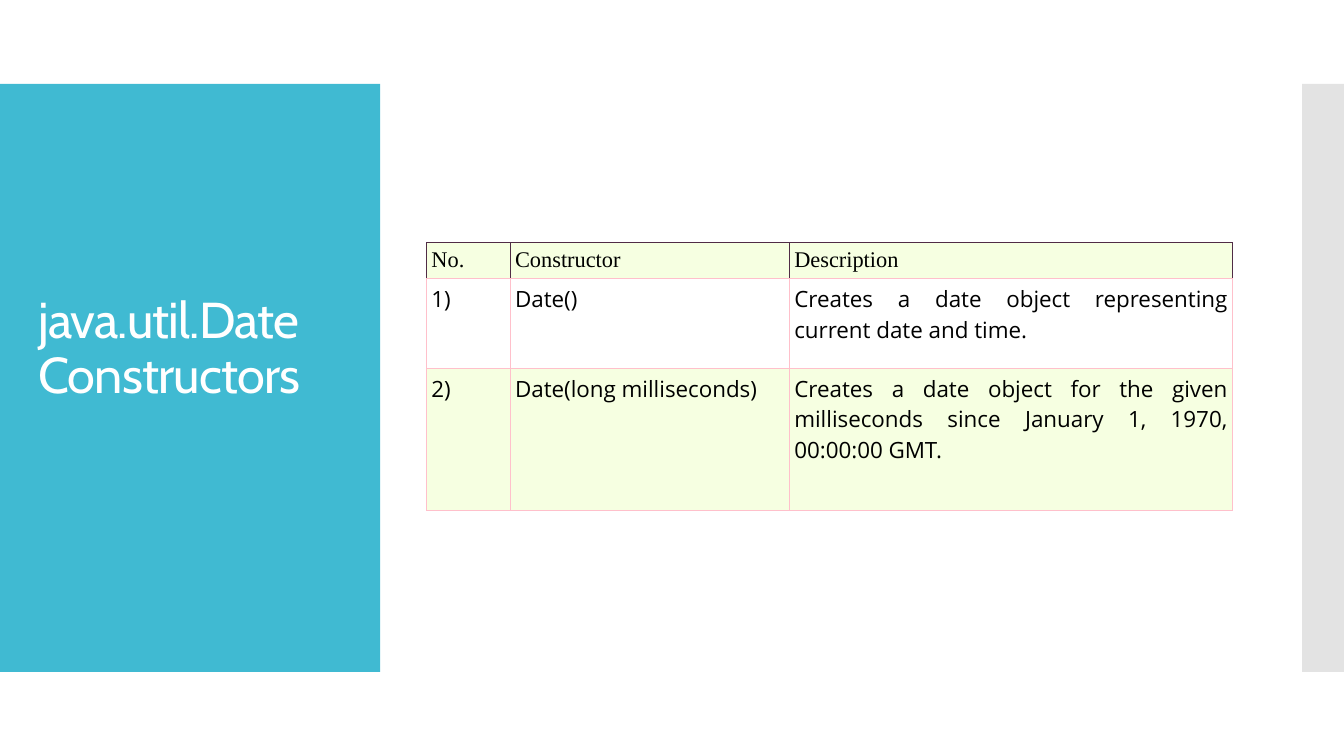
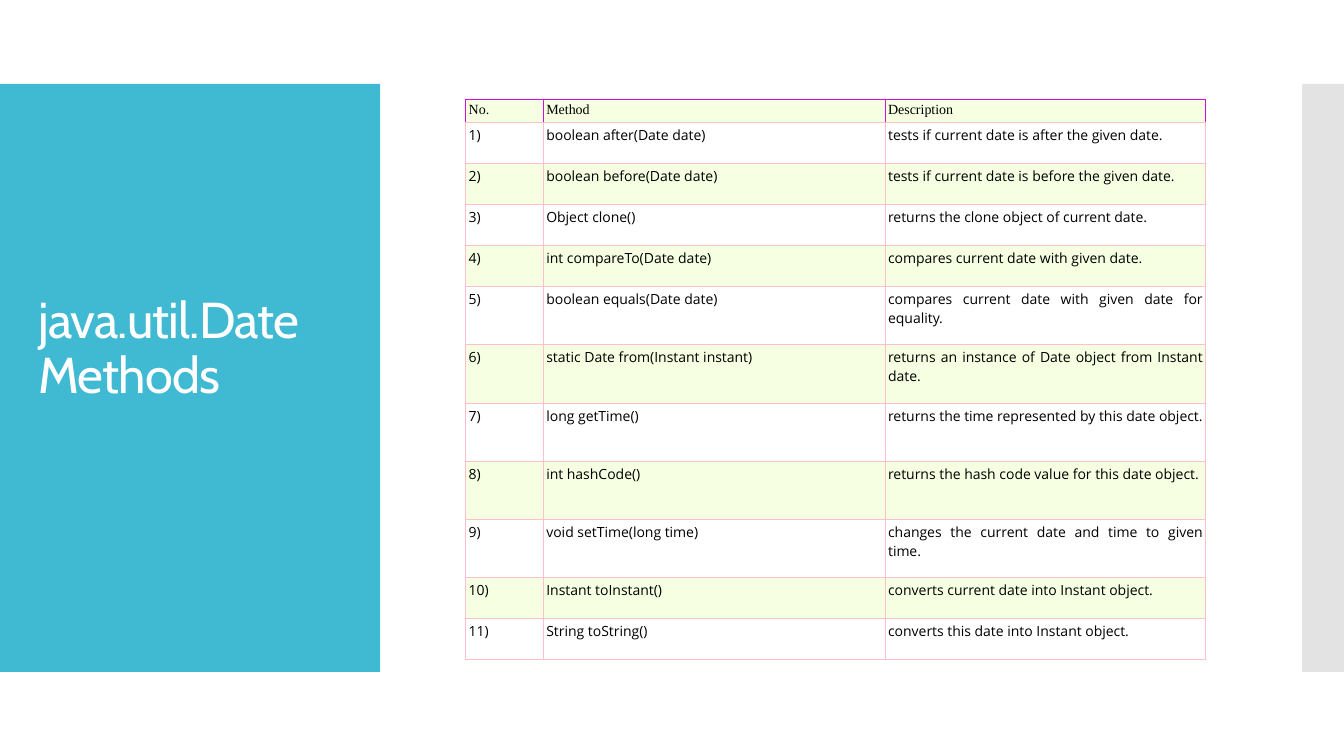
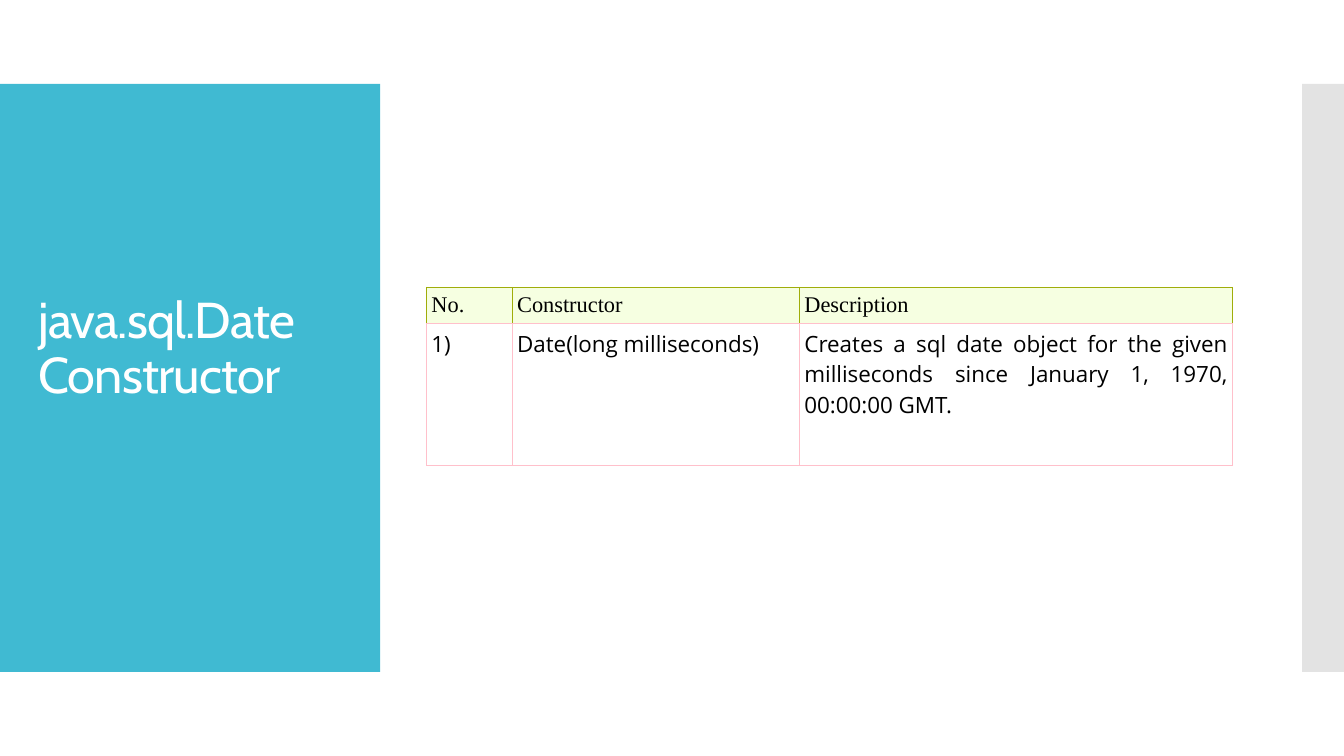
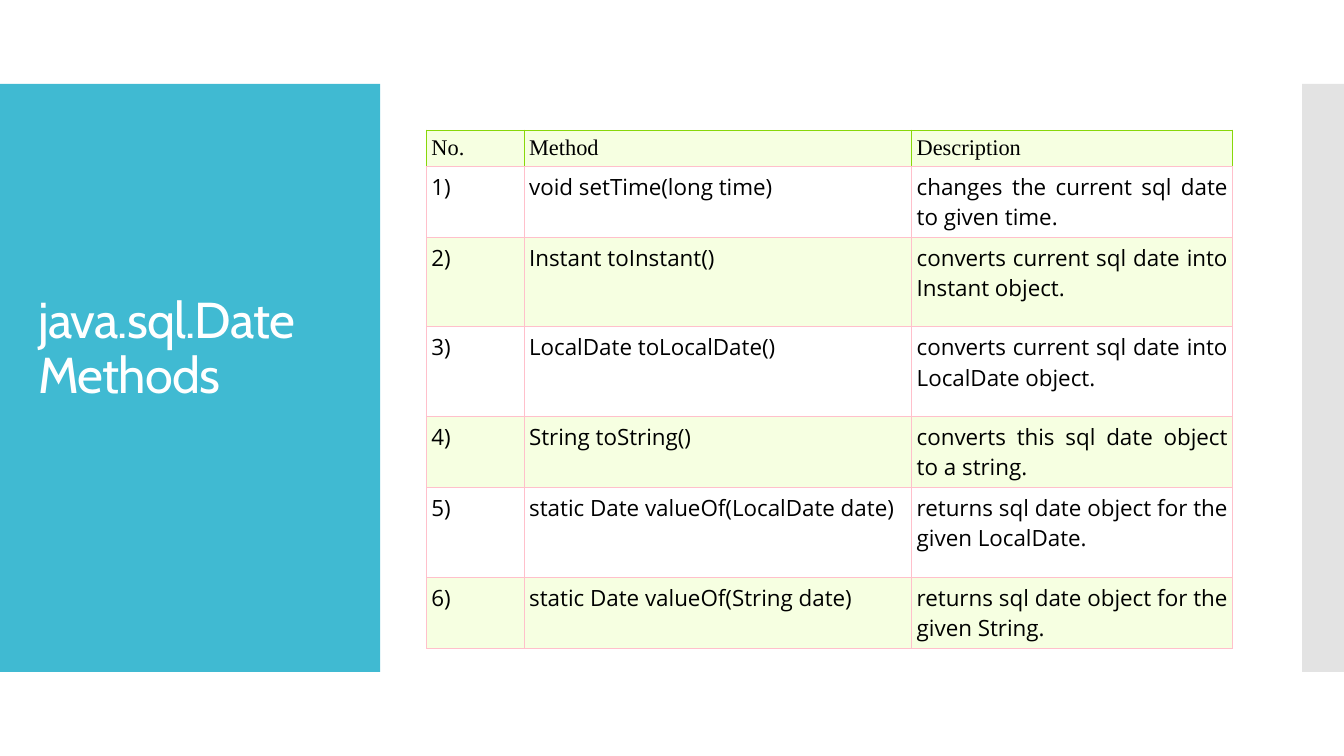
from dataclasses import dataclass

from lxml import etree
from pptx import Presentation
from pptx.dml.color import RGBColor
from pptx.enum.shapes import MSO_SHAPE
from pptx.enum.text import MSO_ANCHOR, MSO_AUTO_SIZE, PP_ALIGN
from pptx.oxml.ns import qn
from pptx.util import Inches, Pt

RECT = MSO_SHAPE.RECTANGLE
MIDDLE = MSO_ANCHOR.MIDDLE
NO_FIT = MSO_AUTO_SIZE.NONE
LEFT, JUSTIFY = PP_ALIGN.LEFT, PP_ALIGN.JUSTIFY
TITLE_ONLY = 5


@dataclass(frozen=True)
class Theme:
    """Colours, fonts and type sizes of the deck."""
    panel: str = "40BAD2"
    edge: str = "C8C8C8"
    title: str = "FFFFFF"
    text: str = "000000"
    row: str = "FFFFFF"
    tint: str = "F6FFE1"
    rule: str = "FFC0CB"
    title_font: str = "Cabin"
    head_font: str = "Times New Roman"
    body_font: str = "Open Sans"
    title_size: int = 36
    large: int = 16
    small: int = 10
    rule_width: float = 0.75


@dataclass(frozen=True)
class Box:
    """A place given in percent of the slide's width and height."""
    left: float
    top: float
    width: float
    height: float

    def emu(self) -> tuple[int, int, int, int]:
        """Return left, top, width and height in EMU."""
        return (round(WIDTH * self.left / 100), round(HEIGHT * self.top / 100),
                round(WIDTH * self.width / 100), round(HEIGHT * self.height / 100))


@dataclass(frozen=True)
class Band:
    """A plain rectangle with an opacity in percent."""
    box: Box
    color: str
    opacity: int = 100


@dataclass(frozen=True)
class TableSlide:
    """A titled slide with one numbered table; cols and rows are weights."""
    title: str
    box: Box
    cols: tuple[float, ...]
    rows: tuple[float, ...]
    kind: str
    entries: tuple[tuple[str, str], ...]
    head_rule: str
    size: int
    inset: float


THEME = Theme()
WIDTH, HEIGHT = Inches(13.33), Inches(7.5)
BANDS = (
    Band(Box(0, 11.11, 28.28, 77.78), THEME.panel),
    Band(Box(96.88, 11.11, 3.12, 77.78), THEME.edge, 50),
)
TITLE_BOX = Box(2.1, 16.4, 24.16, 67.07)

SLIDES = (
    TableSlide(
        "java.util.Date Constructors", Box(31.73, 32.08, 60, 35.47),
        (0.83, 2.77, 4.4), (0.36, 0.89, 1.41), "Constructor",
        (
            ("Date()", "Creates a date object representing current date and time."),
            ("Date(long milliseconds)",
             "Creates a date object for the given milliseconds since "
             "January 1, 1970, 00:00:00 GMT."),
        ),
        "502C46", THEME.large, 0.05),
    TableSlide(
        "java.util.Date Methods", Box(34.65, 13.15, 55.06, 74.13),
        (0.77, 3.39, 3.18), (0.23, *[0.41] * 4, *[0.58] * 5, *[0.41] * 2), "Method",
        (
            ("boolean after(Date date)", "tests if current date is after the given date."),
            ("boolean before(Date date)", "tests if current date is before the given date."),
            ("Object clone()", "returns the clone object of current date."),
            ("int compareTo(Date date)", "compares current date with given date."),
            ("boolean equals(Date date)",
             "compares current date with given date for equality."),
            ("static Date from(Instant instant)",
             "returns an instance of Date object from Instant date."),
            ("long getTime()", "returns the time represented by this date object."),
            ("int hashCode()", "returns the hash code value for this date object."),
            ("void setTime(long time)", "changes the current date and time to given time."),
            ("Instant toInstant()", "converts current date into Instant object."),
            ("String toString()", "converts this date into Instant object."),
        ),
        "D00EE1", THEME.small, 0.03),
    TableSlide(
        "java.sql.Date Constructor", Box(31.73, 38, 60, 23.6),
        (0.85, 2.85, 4.3), (0.36, 1.41), "Constructor",
        (
            ("Date(long milliseconds)",
             "Creates a sql date object for the given milliseconds since "
             "January 1, 1970, 00:00:00 GMT."),
        ),
        "A0AD0A", THEME.large, 0.05),
    TableSlide(
        "java.sql.Date Methods", Box(31.73, 17.2, 60, 65.2),
        (0.97, 3.85, 3.19), (0.36, 0.62, 0.89, 0.89, 0.62, 0.89, 0.62), "Method",
        (
            ("void setTime(long time)", "changes the current sql date to given time."),
            ("Instant toInstant()", "converts current sql date into Instant object."),
            ("LocalDate toLocalDate()", "converts current sql date into LocalDate object."),
            ("String toString()", "converts this sql date object to a string."),
            ("static Date valueOf(LocalDate date)",
             "returns sql date object for the given LocalDate."),
            ("static Date valueOf(String date)",
             "returns sql date object for the given String."),
        ),
        "88D70A", THEME.large, 0.05),
)


def write(tf, text: str, *, font: str, size: int, color: str,
          align=LEFT, spacing: float = 1.0, tracking: int = 0) -> None:
    """Put one formatted paragraph into a text frame."""
    p = tf.paragraphs[0]
    p.alignment, p.line_spacing = align, spacing
    r = p.add_run()
    r.text = text
    r.font.name, r.font.size = font, Pt(size)
    r.font.color.rgb = RGBColor.from_string(color)
    if tracking:
        r.font.color  # the run properties now exist
        r._r.get_or_add_rPr().set("spc", str(tracking))


def draw_band(s, band: Band) -> None:
    """Draw a band behind everything else on the slide."""
    sp = s.shapes.add_shape(RECT, *band.box.emu())
    sp.shadow.inherit = False
    sp.line.fill.background()
    sp.fill.solid()
    sp.fill.fore_color.rgb = RGBColor.from_string(band.color)
    if band.opacity < 100:
        color = sp.element.spPr.find(qn("a:solidFill")).find(qn("a:srgbClr"))
        etree.SubElement(color, qn("a:alpha"), val=str(band.opacity * 1000))
    sp.element.getparent().insert(2, sp.element)


def draw_title(s, text: str) -> None:
    """Move the title placeholder onto the panel and fill it."""
    sp = s.shapes.title
    sp.left, sp.top, sp.width, sp.height = TITLE_BOX.emu()
    tf = sp.text_frame
    tf.word_wrap, tf.auto_size, tf.vertical_anchor = True, NO_FIT, MIDDLE
    tf.margin_bottom = Inches(0.6)
    write(tf, text, font=THEME.title_font, size=THEME.title_size,
          color=THEME.title, spacing=0.9, tracking=-60)


def set_borders(cell, edge: str) -> None:
    """Rule a cell: one colour on three sides, the shared one at the bottom."""
    props = cell._tc.get_or_add_tcPr()
    sides = (("L", edge), ("R", edge), ("T", edge), ("B", THEME.rule))
    for i, (side, color) in enumerate(sides):
        ln = etree.Element(qn(f"a:ln{side}"), w=str(Pt(THEME.rule_width)))
        fill = etree.SubElement(ln, qn("a:solidFill"))
        etree.SubElement(fill, qn("a:srgbClr"), val=color)
        props.insert(i, ln)


def share_out(lines, weights: tuple[float, ...], total: int, side: str) -> None:
    """Divide a length among table columns or rows by weight."""
    for line, weight in zip(lines, weights):
        setattr(line, side, round(total * weight / sum(weights)))


def draw_table(s, page: TableSlide) -> None:
    """Draw the numbered table with its header and tinted even rows."""
    lines = [("No.", page.kind, "Description")]
    lines += [(f"{i})", *entry) for i, entry in enumerate(page.entries, 1)]
    left, top, width, height = page.box.emu()
    table = s.shapes.add_table(len(lines), len(page.cols), left, top, width, height).table
    table.first_row = table.horz_banding = False
    share_out(table.columns, page.cols, width, "width")
    share_out(table.rows, page.rows, height, "height")
    for i, line in enumerate(lines):
        head = i == 0
        for j, text in enumerate(line):
            cell = table.cell(i, j)
            cell.margin_left = cell.margin_right = Inches(page.inset)
            cell.margin_top = cell.margin_bottom = Inches(page.inset)
            cell.fill.solid()
            cell.fill.fore_color.rgb = RGBColor.from_string(
                THEME.row if i % 2 else THEME.tint)
            set_borders(cell, page.head_rule if head else THEME.rule)
            write(cell.text_frame, text, size=page.size, color=THEME.text,
                  font=THEME.head_font if head else THEME.body_font,
                  align=LEFT if head else JUSTIFY)


def build() -> None:
    """Build and save the deck."""
    prs = Presentation()
    prs.slide_width, prs.slide_height = WIDTH, HEIGHT
    for page in SLIDES:
        s = prs.slides.add_slide(prs.slide_layouts[TITLE_ONLY])
        for band in BANDS:
            draw_band(s, band)
        draw_title(s, page.title)
        draw_table(s, page)
    prs.save("out.pptx")


build()
